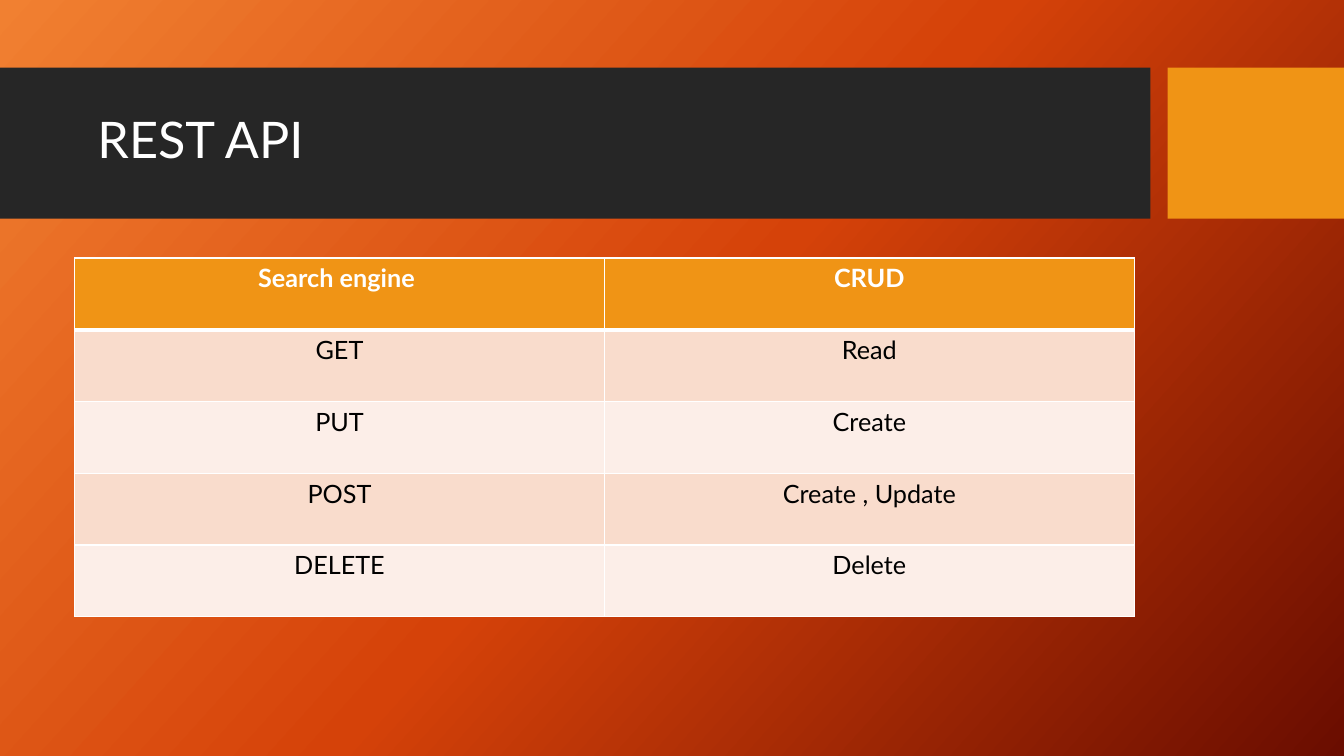
"""Build the REST API slide with its table of methods and CRUD actions."""
from copy import deepcopy
from typing import NamedTuple

from pptx import Presentation
from pptx import util as u
from pptx.dml.color import RGBColor
from pptx.enum import shapes, text
from pptx.oxml import ns
from lxml import etree

WHITE = RGBColor(0xFF, 0xFF, 0xFF)
BLACK = RGBColor(0, 0, 0)
CHARCOAL = RGBColor(0x26, 0x26, 0x26)
AMBER = RGBColor(0xF0, 0x94, 0x15)
PEACH = RGBColor(0xF9, 0xDC, 0xCC)
CREAM = RGBColor(0xFC, 0xEE, 0xE8)
GRADIENT = (
    (0, RGBColor(0xF1, 0x80, 0x31)),
    (0.5, RGBColor(0xD5, 0x42, 0x09)),
    (1, RGBColor(0x6A, 0x0D, 0x00)),
)
FONT = "Lato"
LEFT, WIDTH = 0.74, 10.51


class Bar(NamedTuple):
    """Block of the title band."""
    left: float
    width: float
    color: RGBColor


class Row(NamedTuple):
    """Row of the method table."""
    method: str
    action: str


BARS = (Bar(0, 11.41, CHARCOAL), Bar(11.58, 1.75, AMBER))
ROWS = (
    Row("Search engine ", "CRUD"),
    Row("GET", "Read"),
    Row("PUT", "Create"),
    Row("POST", "Create , Update"),
    Row("DELETE", "Delete"),
)


def paint_background(s) -> None:
    """Fill the background with the three-stop gradient."""
    fill = s.background.fill
    fill.gradient()
    fill.gradient_angle = 360 - 42
    stops = s._element.find(".//" + ns.qn("a:gsLst"))
    stops.append(deepcopy(stops[-1]))
    for stop, (position, color) in zip(fill.gradient_stops, GRADIENT):
        stop.position = position
        stop.color.rgb = color


def add_bar(s, bar: Bar) -> None:
    """Draw one block of the title band."""
    sp = s.shapes.add_shape(shapes.MSO_SHAPE.RECTANGLE, u.Inches(bar.left),
                            u.Inches(0.67), u.Inches(bar.width), u.Inches(1.5))
    sp.shadow.inherit = False
    sp.fill.solid()
    sp.fill.fore_color.rgb = bar.color
    sp.line.fill.background()


def add_run(p, words: str, size: int, color: RGBColor, bold: bool = False) -> None:
    """Append a formatted run to a paragraph."""
    r = p.add_run()
    r.text = words
    r.font.name = FONT
    r.font.size = u.Pt(size)
    r.font.bold = bold
    r.font.color.rgb = color


def add_title(s, words: str) -> None:
    """Write the slide title in the band."""
    sp = s.shapes.add_textbox(u.Inches(LEFT), u.Inches(0.82),
                              u.Inches(WIDTH), u.Inches(1.18))
    tf = sp.text_frame
    tf.word_wrap = True
    tf.vertical_anchor = text.MSO_ANCHOR.MIDDLE
    p = tf.paragraphs[0]
    p.line_spacing = 0.9
    add_run(p, words, 36, WHITE)


def set_border(cell, side: str, points: float) -> None:
    """Give one side of a cell a white border."""
    ln = etree.SubElement(cell._tc.get_or_add_tcPr(), ns.qn(f"a:ln{side}"),
                          w=str(u.Pt(points)))
    fill = etree.SubElement(ln, ns.qn("a:solidFill"))
    etree.SubElement(fill, ns.qn("a:srgbClr"), val=str(WHITE))


def add_method_table(s, rows: tuple[Row, ...]) -> None:
    """Draw the table with a header row and banded body."""
    table = s.shapes.add_table(len(rows), 2, u.Inches(LEFT), u.Inches(2.56),
                               u.Inches(WIDTH), u.Inches(3.56)).table
    for i, row in enumerate(rows):
        header = i == 0
        band = AMBER if header else (PEACH if i % 2 else CREAM)
        for j, words in enumerate(row):
            cell = table.cell(i, j)
            for side in "LRTB":
                thick = (i, side) in ((0, "B"), (1, "T"))
                set_border(cell, side, 3 if thick else 1)
            cell.fill.solid()
            cell.fill.fore_color.rgb = band
            p = cell.text_frame.paragraphs[0]
            p.alignment = text.PP_ALIGN.CENTER
            add_run(p, words, 18, WHITE if header else BLACK, header)


def main() -> None:
    """Compose and save the slide."""
    prs = Presentation()
    prs.slide_width = u.Inches(13.33)
    prs.slide_height = u.Inches(7.5)
    s = prs.slides.add_slide(prs.slide_layouts[6])
    paint_background(s)
    for bar in BARS:
        add_bar(s, bar)
    add_title(s, " REST API")
    add_method_table(s, ROWS)
    prs.save("out.pptx")


if __name__ == "__main__":
    main()
